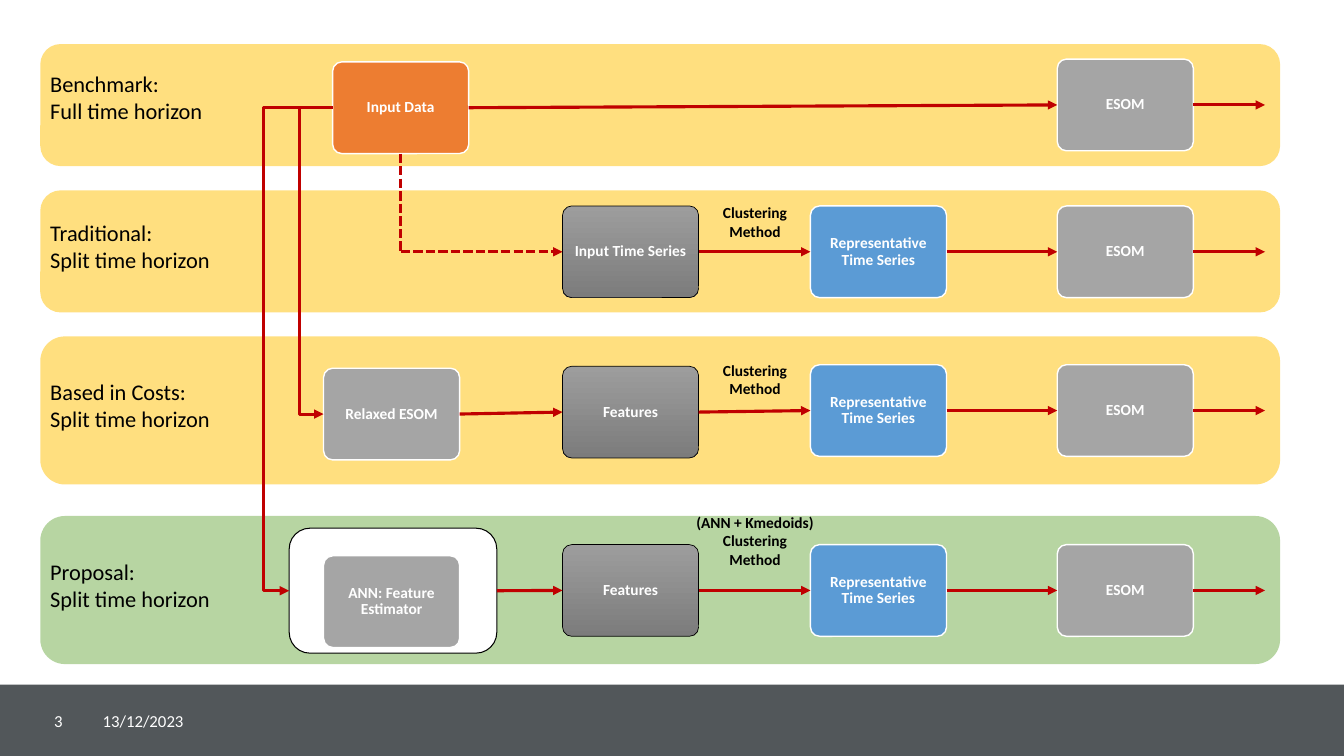
import pptx
import pptx.util
import pptx.dml.color
import pptx.enum.dml
import pptx.enum.shapes
import pptx.enum.text
import pptx.oxml
import pptx.oxml.ns

Pt = pptx.util.Pt
ALIGN = pptx.enum.text.PP_ALIGN
ANCHOR = pptx.enum.text.MSO_ANCHOR
SHAPE = pptx.enum.shapes.MSO_SHAPE
CONNECTOR = pptx.enum.shapes.MSO_CONNECTOR
qn = pptx.oxml.ns.qn
TOP, LEFT, BOTTOM, RIGHT = range(4)


def colour(target, value):
    target.rgb = pptx.dml.color.RGBColor.from_string(value)


def write(holder, lines, size, ink="000000", bold=False, align=ALIGN.LEFT,
          anchor=ANCHOR.TOP, spacing=1.0):
    frame = holder.text_frame
    frame.word_wrap = True
    frame.vertical_anchor = anchor
    frame.text = "\n".join(lines)
    for paragraph in frame.paragraphs:
        paragraph.alignment = align
        paragraph.line_spacing = spacing
        font = paragraph.runs[0].font
        for key, value in {"name": "Calibri", "size": Pt(size), "bold": bold}.items():
            setattr(font, key, value)
        colour(font.color, ink)


deck = pptx.Presentation()
deck.slide_width, deck.slide_height = Pt(960), Pt(540)
slide = deck.slides.add_slide(deck.slide_layouts[6])
shapes = slide.shapes

footer = shapes.add_shape(SHAPE.RECTANGLE, 0, Pt(489), Pt(960), Pt(51))
footer.shadow.inherit = False
footer.fill.solid()
colour(footer.fill.fore_color, "52575A")
footer.line.fill.background()
for left, width, text, align in [
    (13.7, 38.2, "3", ALIGN.RIGHT),
    (66.2, 76.3, "13/12/2023", ALIGN.LEFT),
]:
    footer_text = shapes.add_textbox(Pt(left), Pt(500.4), Pt(width), Pt(28.8))
    write(footer_text, [text], 12, "FFFFFF", align=align, anchor=ANCHOR.MIDDLE)

bands = [
    (31.5, 87.2, "FFC000", 46.8, ["Benchmark:", "Full time horizon"]),
    (136, 87.2, "FFC000", 152.9, ["Traditional:", "Split time horizon"]),
    (240.3, 105.8, "FFC000", 266.6, ["Based in Costs:", "Split time horizon"]),
    (368.6, 105.8, "70AD47", 394.9, ["Proposal:", "Split time horizon"]),
]
for top, height, tint, label_top, lines in bands:
    band = shapes.add_shape(SHAPE.ROUNDED_RECTANGLE, Pt(28.8), Pt(top), Pt(885.6), Pt(height))
    band.shadow.inherit = False
    band.fill.solid()
    colour(band.fill.fore_color, tint)
    tint_xml = band.element.spPr.find(qn("a:solidFill"))[0]
    pptx.oxml.ns.nsdecls("a")
    tint_xml.append(pptx.oxml.parse_xml(f'<a:alpha {pptx.oxml.ns.nsdecls("a")} val="50000"/>'))
    band.line.fill.background()
    label = shapes.add_textbox(Pt(28.8), Pt(label_top), Pt(150), Pt(46))
    write(label, lines, 16)

GREY, ORANGE, BLUE, GRADIENT = "A5A5A5", "ED7D31", "5B9BD5", ("9D9D9D", "7C7C7C")
SERIES = "Representative Time Series"
steps = {
    "input": (237.6, 44.2, "Input Data", ORANGE),
    "benchmark esom": (755.2, 42.2, "ESOM", GREY),
    "time series": (401.8, 147.1, "Input Time Series", GRADIENT),
    "traditional series": (578.9, 147.1, SERIES, BLUE),
    "traditional esom": (755.2, 147.1, "ESOM", GREY),
    "relaxed esom": (231.1, 263, "Relaxed ESOM", GREY),
    "cost features": (401.8, 261.6, "Features", GRADIENT),
    "cost series": (578.9, 260.5, SERIES, BLUE),
    "cost esom": (755.2, 260.5, "ESOM", GREY),
    "estimator frame": (206.6, 377.3, "", "FFFFFF"),
    "estimator": (231.1, 397, "ANN: Feature Estimator", GREY),
    "proposal features": (401.8, 389, "Features", GRADIENT),
    "proposal series": (578.9, 389, SERIES, BLUE),
    "proposal esom": (755.2, 389, "ESOM", GREY),
}
boxes = {}
for name, (left, top, text, fill) in steps.items():
    width, height = (97.2, 65.5) if text else (148.3, 89.3)
    box = shapes.add_shape(SHAPE.ROUNDED_RECTANGLE, Pt(left), Pt(top), Pt(width), Pt(height))
    boxes[name] = box
    box.shadow.inherit = False
    if fill == GRADIENT:
        box.fill.gradient()
        box.fill.gradient_angle = 270
        for stop, shade in zip(box.fill.gradient_stops, fill):
            colour(stop.color, shade)
        edge, weight = "000000", 0.5
    else:
        box.fill.solid()
        colour(box.fill.fore_color, fill)
        edge, weight = ("FFFFFF", 1) if text else ("000000", 0.75)
    colour(box.line.color, edge)
    box.line.width = Pt(weight)
    if text:
        box.adjustments[0] = 0.1
        for side in ("left", "right", "top", "bottom"):
            setattr(box.text_frame, f"margin_{side}", Pt(5))
        write(box, [text], 11, "FFFFFF", True, ALIGN.CENTER, ANCHOR.MIDDLE, 0.9)

corner = (286.2, 179.85)
flows = [
    (("input", RIGHT), ("benchmark esom", LEFT), {}),
    (("input", BOTTOM), corner, {"dashed": True, "arrow": False}),
    (corner, ("time series", LEFT), {"dashed": True}),
    (("time series", RIGHT), ("traditional series", LEFT), {}),
    (("traditional series", RIGHT), ("traditional esom", LEFT), {}),
    (("input", LEFT), ("relaxed esom", LEFT), {"bend": 214.2}),
    (("relaxed esom", RIGHT), ("cost features", LEFT), {}),
    (("cost features", RIGHT), ("cost series", LEFT), {}),
    (("cost series", RIGHT), ("cost esom", LEFT), {}),
    (("input", LEFT), ("estimator frame", LEFT), {"bend": 188.3}),
    (("estimator frame", RIGHT), ("proposal features", LEFT), {}),
    (("proposal features", RIGHT), ("proposal series", LEFT), {}),
    (("proposal series", RIGHT), ("proposal esom", LEFT), {}),
]
for row in ("benchmark", "traditional", "cost", "proposal"):
    esom = f"{row} esom"
    flows.append(((esom, RIGHT), (903.6, steps[esom][1] + 32.75), {}))

for start, end, style in flows:
    bend = style.get("bend")
    kind = CONNECTOR.ELBOW if bend else CONNECTOR.STRAIGHT
    points = [Pt(value) if not isinstance(value, str) else 0 for value in start + end]
    flow = shapes.add_connector(kind, *points)
    for place, join in ((start, flow.begin_connect), (end, flow.end_connect)):
        if place[0] in boxes:
            join(boxes[place[0]], place[1])
    properties = flow.element.spPr
    if bend:
        ratio = (flow.begin_x - Pt(bend)) / (flow.begin_x - flow.end_x)
        guides = properties.find(qn("a:prstGeom")).get_or_add_avLst()
        guide = guides.makeelement(qn("a:gd"), {"name": "adj1", "fmla": f"val {round(ratio * 100000)}"})
        guides.append(guide)
    colour(flow.line.color, "C00000")
    flow.line.width = Pt(2.25)
    if style.get("dashed"):
        flow.line.dash_style = pptx.enum.dml.MSO_LINE.SQUARE_DOT
    if style.get("arrow", True):
        outline = flow.get_or_add_ln()
        outline.append(outline.makeelement(qn("a:tailEnd"), {"type": "triangle"}))
    properties.append(properties.makeelement(qn("a:effectLst"), {}))

for top, lines in [
    (141.8, ["Clustering", "Method"]),
    (254.2, ["Clustering", "Method"]),
    (362.9, ["(ANN + Kmedoids)", "Clustering", "Method"]),
]:
    method = shapes.add_textbox(Pt(479.3), Pt(top), Pt(120), Pt(12 + 13.4 * len(lines)))
    write(method, lines, 11, bold=True, align=ALIGN.CENTER)

deck.save("out.pptx")
